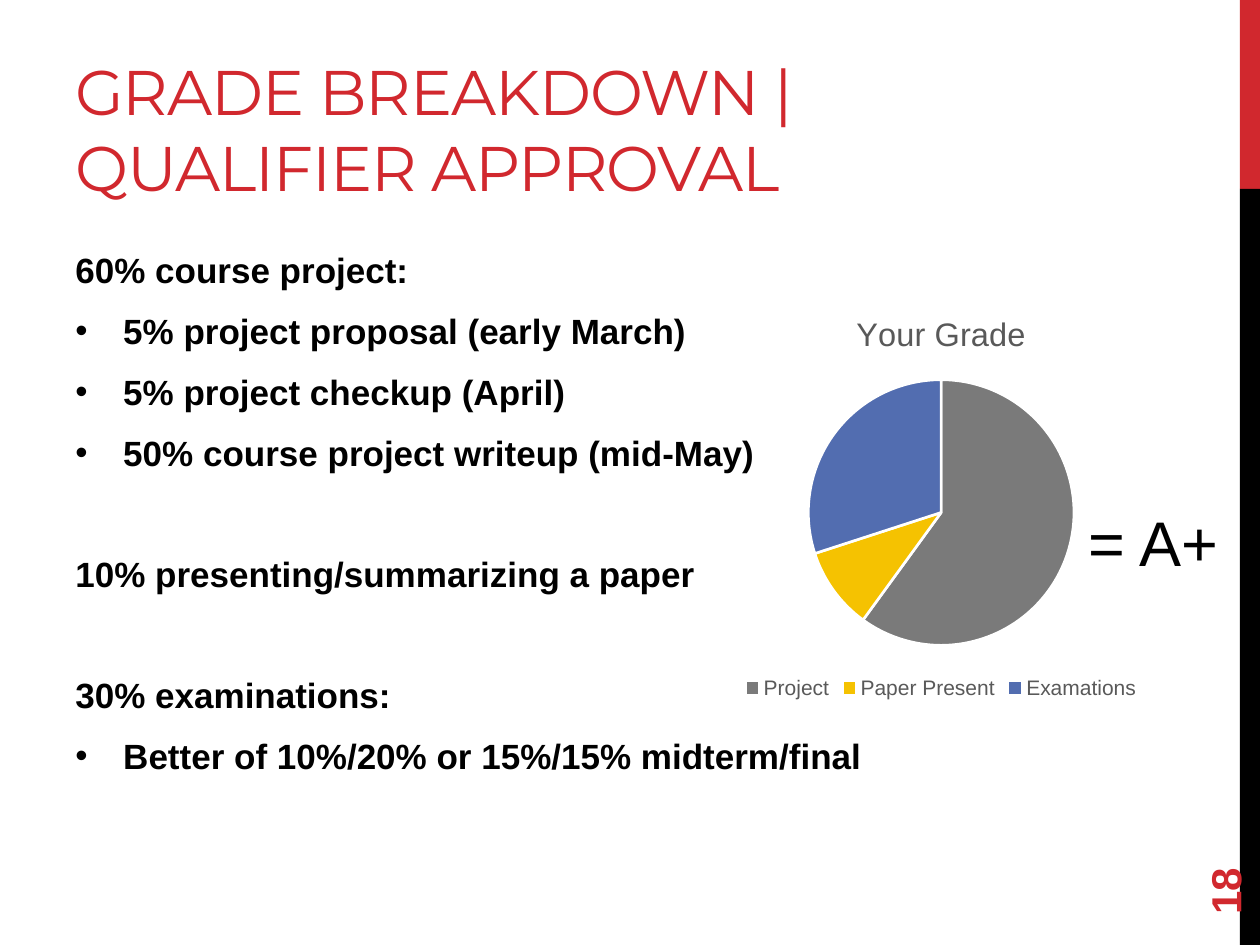
from lxml.etree import SubElement
from pptx import Presentation
from pptx.chart.data import CategoryChartData as Data
from pptx.dml.color import RGBColor
from pptx.enum.chart import XL_CHART_TYPE as Kind, XL_LEGEND_POSITION as Side
from pptx.enum.shapes import MSO_SHAPE as Form
from pptx.enum.text import MSO_ANCHOR as Anchor
from pptx.oxml.ns import qn
from pptx.util import Inches, Pt

RED, BLACK, GRAY = "D1282E", "000000", "595959"
COLS, ROWS = 20, 15


def color(code):
    return RGBColor.from_string(code)


def style(font, size=20, hue=BLACK, bold=False, face="Arial"):
    font.name, font.size, font.bold = face, Pt(size), bold
    font.color.rgb = color(hue)


def write(para, text, track=None, bullet=False, before=0, after=0, **form):
    para.space_before, para.space_after = Pt(before), Pt(after)
    if bullet:
        props = para._p.get_or_add_pPr()
        props.set("marL", str(Inches(0.38)))
        props.set("indent", str(Inches(-0.38)))
        SubElement(props, qn("a:buFont"), typeface="Arial")
        SubElement(props, qn("a:buChar"), char="•")
    run = para.add_run()
    run.text = text
    style(run.font, **form)
    if track:
        run._r.get_or_add_rPr().set("spc", str(track))


class Deck:
    def __init__(self):
        self.show = Presentation()
        self.show.slide_width, self.show.slide_height = Inches(10), Inches(7.5)
        self.slide = self.show.slides.add_slide(self.show.slide_layouts[6])

    def place(self, col, row, wide, tall):
        across, down = self.show.slide_width / COLS, self.show.slide_height / ROWS
        return [round(n) for n in (col * across, row * down, wide * across, tall * down)]

    def bar(self, *cell, hue):
        shape = self.slide.shapes.add_shape(Form.RECTANGLE, *self.place(*cell))
        shape.shadow.inherit = False
        shape.fill.solid()
        shape.fill.fore_color.rgb = color(hue)
        shape.line.fill.background()

    def text(self, *cell, lines, anchor=Anchor.TOP, turn=0, **form):
        box = self.slide.shapes.add_textbox(*self.place(*cell))
        box.rotation = turn
        frame = box.text_frame
        frame.word_wrap, frame.vertical_anchor = True, anchor
        for i, (line, extra) in enumerate(lines):
            para = frame.add_paragraph() if i else frame.paragraphs[0]
            write(para, line, **form, **extra)

    def pie(self, *cell, title, parts):
        data = Data()
        data.categories = [name for name, _, _ in parts]
        data.add_series(title, [value for _, value, _ in parts])
        chart = self.slide.shapes.add_chart(Kind.PIE, *self.place(*cell), data).chart
        style(chart.font, size=10)
        chart.has_title = True
        write(chart.chart_title.text_frame.paragraphs[0], title, size=18.6, hue=GRAY)
        chart.chart_title.include_in_layout = False
        chart.has_legend = True
        chart.legend.position = Side.BOTTOM
        chart.legend.include_in_layout = False
        style(chart.legend.font, size=12, hue=GRAY)
        plot = chart.plots[0]
        plot.vary_by_categories = True
        for i, (_, _, hue) in enumerate(parts):
            look = plot.series[0].points[i].format
            look.fill.solid()
            look.fill.fore_color.rgb = color(hue)
            look.line.color.rgb = color("FFFFFF")
            look.line.width = Pt(1.5)


def main():
    first, item, part = {}, {"bullet": True, "before": 5}, {"before": 39}
    deck = Deck()
    deck.bar(19.68, 0, 0.32, 3, hue=RED)
    deck.bar(19.68, 3, 0.32, 12, hue=BLACK)
    deck.text(1, 0.34, 12.66, 3, anchor=Anchor.BOTTOM, size=36, hue=RED,
              face="Montserrat", track=-60,
              lines=[("GRADE BREAKDOWN | QUALIFIER APPROVAL", first)])
    deck.text(1, 3.84, 16.66, 9.56, bold=True, after=6, lines=[
        ("60% course project:", first),
        ("5% project proposal (early March)", item),
        ("5% project checkup (April)", item),
        ("50% course project writeup (mid-May)", item),
        ("10% presenting/summarizing a paper", part),
        ("30% examinations:", part),
        ("Better of 10%/20% or 15%/15% midterm/final", item),
    ])
    deck.pie(10.02, 4.62, 9.84, 6.56, title="Your Grade", parts=[
        ("Project", 60, "7A7A7A"),
        ("Paper Present", 10, "F5C201"),
        ("Examations", 30, "526DB0"),
    ])
    deck.text(17.08, 7.9, 2.66, 1.42, size=36, lines=[("= A+", first)])
    deck.text(18, 12.88, 2.88, 0.8, anchor=Anchor.MIDDLE, turn=270,
              size=24, hue=RED, bold=True, lines=[("18", first)])
    deck.show.save("out.pptx")


if __name__ == "__main__":
    main()
